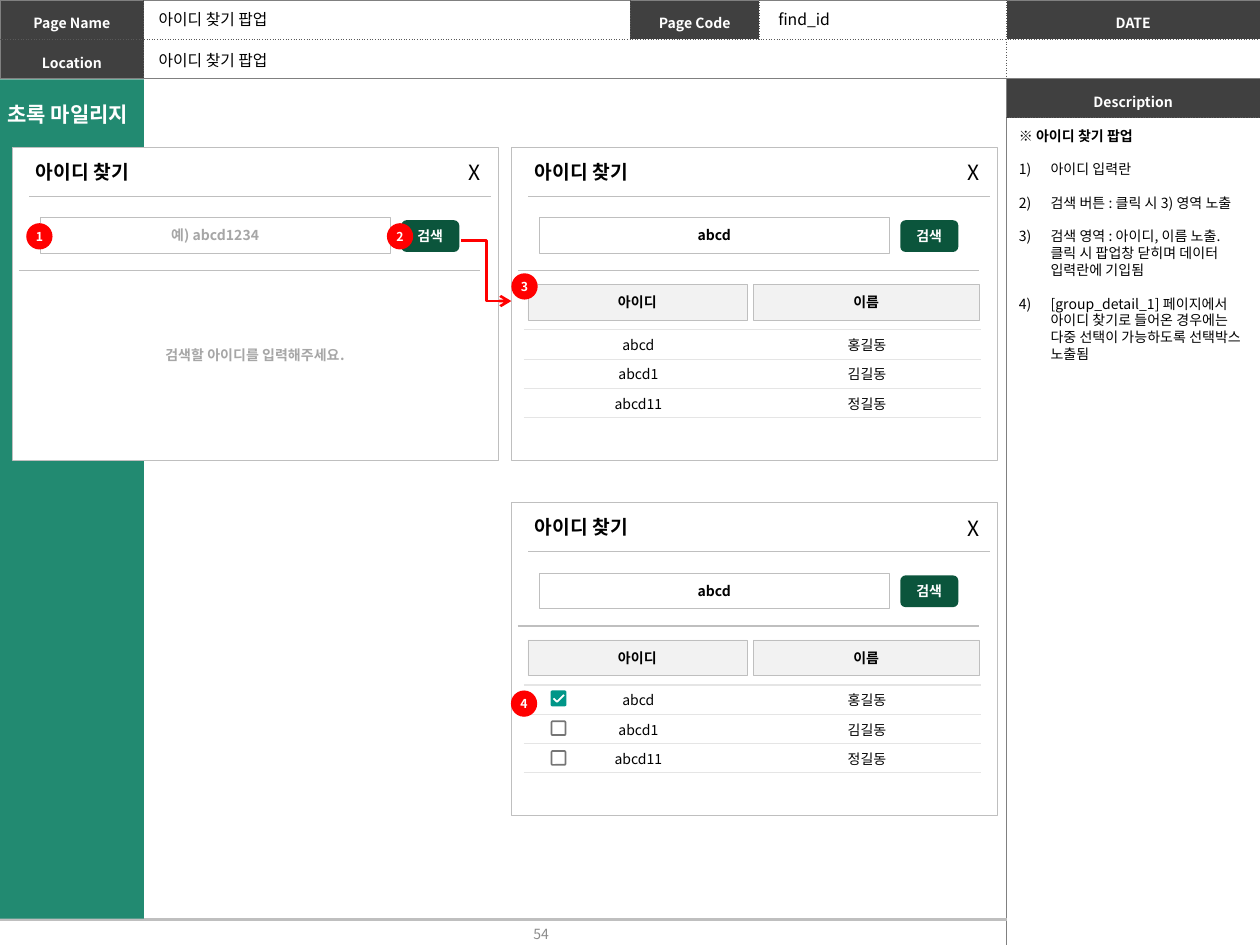
"""Build the find-ID popup page of a screen design document."""
from dataclasses import dataclass

import pptx
import pptx.dml.color
import pptx.enum.dml
import pptx.enum.shapes
import pptx.enum.text
import pptx.oxml.ns
import pptx.shapes.autoshape
import pptx.shapes.connector
import pptx.table
import pptx.text.text
import pptx.util
from lxml import etree

Cm, Pt = pptx.util.Cm, pptx.util.Pt
qn = pptx.oxml.ns.qn
Kind = pptx.enum.shapes.MSO_SHAPE
Link = pptx.enum.shapes.MSO_CONNECTOR
Align = pptx.enum.text.PP_ALIGN
Mid = pptx.enum.text.MSO_ANCHOR.MIDDLE

FONT = "Noto Sans CJK KR"
BLACK, WHITE, RED = "000000", "FFFFFF", "FF0000"
DARK, GREY, PALE, MUTE = "404040", "BFBFBF", "F2F2F2", "A6A6A6"
SOLID, DOT = ("808080", 0.5, "solid"), ("595959", 0.5, "sysDot")
ROW_LINE = ("E5E5E5", 0.75, "solid")
PEOPLE = [("abcd", "홍길동"), ("abcd1", "김길동"), ("abcd11", "정길동")]


@dataclass(frozen=True)
class Style:
    size: float = 8
    color: str = BLACK
    bold: bool = False
    align: Align = Align.CENTER


@dataclass(frozen=True)
class Box:
    x: float
    y: float
    w: float
    h: float

    def place(self) -> list[pptx.util.Length]:
        return [Cm(v) for v in (self.x, self.y, self.w, self.h)]


@dataclass(frozen=True)
class Popup:
    x: float
    y: float
    entry: Style
    query: str
    found: bool = False
    checks: bool = False


@dataclass(frozen=True)
class Badge:
    x: float
    y: float
    label: str


LABEL = Style(color=WHITE, bold=True)
STRONG = Style(bold=True)
HINT = Style(color=MUTE, bold=True)

POPUPS = [
    Popup(0.25, 2.97, HINT, "예) abcd1234"),
    Popup(10.31, 2.97, STRONG, "abcd", found=True),
    Popup(10.31, 10.13, STRONG, "abcd", found=True, checks=True),
]
BADGES = [Badge(0.53, 4.5, "1"), Badge(7.8, 4.5, "2"),
          Badge(10.31, 5.51, "3"), Badge(10.3, 13.92, "4")]
NOTES = [
    "아이디 입력란",
    "검색 버튼 : 클릭 시 3) 영역 노출",
    "검색 영역 : 아이디, 이름 노출. 클릭 시 팝업창 닫히며 데이터 입력란에 기입됨",
    "[group_detail_1] 페이지에서 아이디 찾기로 들어온 경우에는 다중 선택이 가능하도록 선택박스 노출됨",
]

deck = pptx.Presentation()
deck.slide_width, deck.slide_height = Cm(25.4), Cm(19.05)
shapes = deck.slides.add_slide(deck.slide_layouts[6]).shapes


def tint(code: str) -> pptx.dml.color.RGBColor:
    return pptx.dml.color.RGBColor.from_string(code)


def write(para: pptx.text.text._Paragraph, text: str, style: Style) -> None:
    para.text, para.alignment = text, style.align
    font = para.font
    font.size, font.bold, font.name = Pt(style.size), style.bold, FONT
    font.color.rgb = tint(style.color)
    base = para._p.pPr.find(qn("a:defRPr"))
    etree.SubElement(base, qn("a:ea"), typeface=FONT)
    if not text:
        etree.SubElement(para._p, qn("a:endParaRPr"), sz=str(style.size * 100))


def draw(kind: Kind, box: Box, fill: str = "", edge: str = "", text: str = "",
         style: Style = STRONG, width: float = 0.25) -> pptx.shapes.autoshape.Shape:
    shape = shapes.add_shape(kind, *box.place())
    paint(shape, fill, edge, width)
    if text:
        frame = shape.text_frame
        frame.vertical_anchor = Mid
        if kind == Kind.OVAL:
            frame.margin_left = frame.margin_right = 0
            frame.margin_top = frame.margin_bottom = 0
        write(frame.paragraphs[0], text, style)
    return shape


def paint(shape: pptx.shapes.autoshape.Shape, fill: str, edge: str, width: float) -> None:
    shape.shadow.inherit = False
    if fill:
        shape.fill.solid()
        shape.fill.fore_color.rgb = tint(fill)
    else:
        shape.fill.background()
    if edge:
        shape.line.color.rgb, shape.line.width = tint(edge), Pt(width)
    else:
        shape.line.fill.background()


def label(box: Box, text: str, style: Style, wrap: bool = False) -> pptx.text.text.TextFrame:
    frame = shapes.add_textbox(*box.place()).text_frame
    frame.word_wrap = wrap
    write(frame.paragraphs[0], text, style)
    return frame


def link(kind: Link, ends: tuple[float, ...], color: str, width: float) -> pptx.shapes.connector.Connector:
    line = shapes.add_connector(kind, *(Cm(v) for v in ends))
    line.line.color.rgb, line.line.width = tint(color), Pt(width)
    etree.SubElement(line._element.spPr, qn("a:effectLst"))
    return line


def grid(x: float, y: float, cols: list[float], rows: list[float]) -> pptx.table.Table:
    box = Box(x, y, sum(cols), sum(rows))
    table = shapes.add_table(len(rows), len(cols), *box.place()).table
    table.first_row = table.horz_banding = False
    for part, size in zip(table.columns, cols):
        part.width = Cm(size)
    for part, size in zip(table.rows, rows):
        part.height = Cm(size)
    return table


def fill_cell(cell: pptx.table._Cell, text: str, style: Style, fill: str,
              edges: dict[str, tuple[str, float, str]], pad: float = 0.1, gap: float = 1) -> None:
    cell.vertical_anchor = Mid
    cell.margin_left = cell.margin_right = Cm(0.1)
    cell.margin_top = cell.margin_bottom = Cm(pad)
    write(cell.text_frame.paragraphs[0], text, style)
    cell.text_frame.paragraphs[0].line_spacing = gap
    props = cell._tc.get_or_add_tcPr()
    for side in "LRTB":
        if side in edges:
            color, width, dash = edges[side]
            line = etree.SubElement(props, qn(f"a:ln{side}"), w=str(Pt(width)))
            etree.SubElement(etree.SubElement(line, qn("a:solidFill")), qn("a:srgbClr"), val=color)
            etree.SubElement(line, qn("a:prstDash"), val=dash)
        else:
            line = etree.SubElement(props, qn(f"a:ln{side}"), w="0")
            etree.SubElement(line, qn("a:noFill"))
    if fill:
        cell.fill.solid()
        cell.fill.fore_color.rgb = tint(fill)
    else:
        cell.fill.background()


def draw_head() -> None:
    texts = [["Page Name", "", "Page Code", "", "DATE"], ["Location", "", "", "", ""]]
    table = grid(0, 0, [2.9, 9.8, 2.61, 4.98, 5.11], [0.79, 0.79])
    table.cell(1, 1).merge(table.cell(1, 3))
    for r, line in enumerate(texts):
        for c, text in enumerate(line):
            edges = {"L": DOT if c else SOLID, "R": SOLID if c == 4 else DOT,
                     "T": DOT if r else SOLID, "B": SOLID if r else DOT}
            fill_cell(table.cell(r, c), text, LABEL, DARK if text else "", edges, gap=1.3)
    table = grid(20.29, 1.58, [5.11], [0.79, 16.68])
    fill_cell(table.cell(0, 0), "Description", LABEL, DARK, {**dict.fromkeys("LTR", SOLID), "B": DOT}, gap=1.3)
    fill_cell(table.cell(1, 0), "", LABEL, "", {**dict.fromkeys("LRB", SOLID), "T": DOT})


def draw_notes() -> None:
    left = Style(align=Align.LEFT)
    frame = label(Box(20.29, 2.44, 5.11, 5.74), "※ 아이디 찾기 팝업", Style(bold=True, align=Align.LEFT), True)
    for note in NOTES:
        para = frame.add_paragraph()
        write(para, note, left)
        para.space_before = Pt(9.6)
        props = para._p.pPr
        props.set("marL", str(Cm(0.64)))
        props.set("indent", str(-Cm(0.64)))
        mark = etree.Element(qn("a:buAutoNum"), type="arabicParenR")
        props.find(qn("a:defRPr")).addprevious(mark)


def draw_checks(x: float, y: float) -> None:
    draw(Kind.ROUNDED_RECTANGLE, Box(x, y, 0.32, 0.32), "009688").adjustments[0] = 0.11
    marks = [(0.06, 0.16), (0.13, 0.23), (0.27, 0.09)]
    points = [(Cm(x + a), Cm(y + b)) for a, b in marks]
    tick = shapes.build_freeform(*points[0])
    tick.add_line_segments(points[1:], close=False)
    paint(tick.convert_to_shape(), "", WHITE, 1)
    for i in (1, 2):
        box = Box(x + 0.02, y + 0.02 + i * 0.6, 0.28, 0.28)
        draw(Kind.ROUNDED_RECTANGLE, box, "", "757575", width=1).adjustments[0] = 0.08


def draw_popup(pop: Popup) -> None:
    def at(x: float, y: float, w: float, h: float) -> Box:
        return Box(pop.x + x, pop.y + y, w, h)

    draw(Kind.RECTANGLE, at(0, 0, 9.8, 6.3), WHITE, GREY)
    for x, y in ((0.34, 0.99), (0.13, 2.49)):
        link(Link.STRAIGHT, (pop.x + x, pop.y + y, pop.x + x + 9.3, pop.y + y), GREY, 0.75)
    label(at(0.22, 0.13, 2.46, 0.74), "아이디 찾기", Style(11, bold=True, align=Align.LEFT))
    label(at(8.94, 0.13, 0.79, 0.76), "X", Style(12, align=Align.LEFT))
    draw(Kind.RECTANGLE, at(0.56, 1.42, 7.06, 0.71), "", GREY, pop.query, pop.entry)
    draw(Kind.ROUNDED_RECTANGLE, at(7.84, 1.47, 1.17, 0.64), "0B553C", "", "검색", LABEL)
    if not pop.found:
        label(at(2.77, 3.89, 4.24, 0.61), "검색할 아이디를 입력해주세요.", HINT)
        return
    for x, w, text in ((0.33, 4.42, "아이디"), (4.88, 4.55, "이름")):
        draw(Kind.RECTANGLE, at(x, 2.77, w, 0.71), PALE, GREY, text)
    table = grid(pop.x + 0.25, pop.y + 3.68, [4.62, 4.6], [0.59] * 3)
    for r, person in enumerate(PEOPLE):
        for c, text in enumerate(person):
            fill_cell(table.cell(r, c), text, Style(), WHITE, dict.fromkeys("TB", ROW_LINE), 0.05)
    if pop.checks:
        draw_checks(pop.x + 0.79, pop.y + 3.79)


def main() -> None:
    draw_head()
    link(Link.STRAIGHT, (0, 18.54, 20.29, 18.54), GREY, 1.5)
    draw(Kind.RECTANGLE, Box(0, 1.6, 2.9, 16.92), "228A71")
    label(Box(-0.1, 1.93, 3.05, 0.76), "초록 마일리지", Style(12, WHITE, True, Align.LEFT))
    draw_notes()
    label(Box(7.95, 18.31, 5.92, 1.02), "54", Style(color="8C8C8C"), True).vertical_anchor = Mid
    for x, y, w, text in ((2.95, 0.08, 2.82, "아이디 찾기 팝업"), (15.44, 0.08, 1.57, "find_id"),
                          (2.95, 0.89, 2.82, "아이디 찾기 팝업")):
        label(Box(x, y, w, 0.64), text, Style(9, align=Align.LEFT))
    for pop in POPUPS:
        draw_popup(pop)
    arrow = link(Link.ELBOW, (9.3, 4.85, 10.31, 6.07), RED, 1.5)
    etree.SubElement(arrow.line._get_or_add_ln(), qn("a:tailEnd"), type="arrow")
    for badge in BADGES:
        draw(Kind.OVAL, Box(badge.x, badge.y, 0.53, 0.53), RED, "", badge.label, Style(7, WHITE, True))
    deck.save("out.pptx")


if __name__ == "__main__":
    main()
